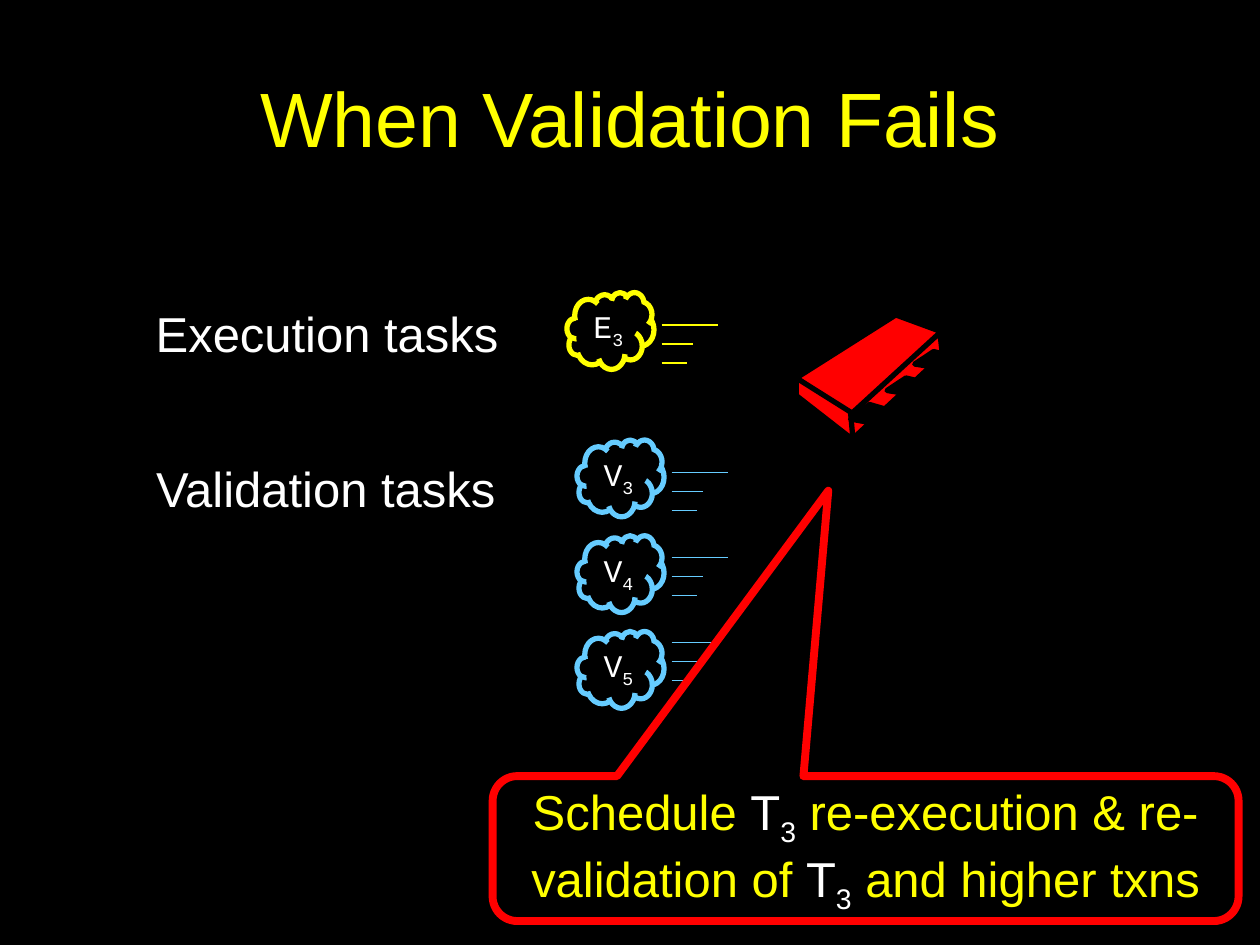
from lxml.etree import SubElement
from pptx import Presentation
from pptx.dml.color import RGBColor
from pptx.enum.shapes import MSO_CONNECTOR as Connector, MSO_SHAPE as Preset
from pptx.enum.text import MSO_ANCHOR as Anchor, PP_ALIGN as Align
from pptx.oxml.ns import qn
from pptx.util import Inches, Pt

COLORS = {
    "black": "000000",
    "white": "FFFFFF",
    "yellow": "FFFF00",
    "blue": "66CCFF",
    "red": "FF0000",
}
COLUMNS, ROWS = 100, 75
CELL = Inches(0.1)

REAR_PIN = [(2.2, 0.8), (0.8, 0), (0, 0.8), (0, 5), (0.8, 4.3), (0.8, 1.5), (2.2, 2.2)]
FRONT_PIN = [(1.5, 0), (0, 1), (2.5, 1.4), (2.5, 4.3), (3.5, 3.3), (3.5, 0.5)]
CHIP_FACES = [
    [(8.6, 0.2), (0.7, 5.2), (5.1, 8.2), (12.4, 1.6)],
    [(12.1, 1.6), (5, 8.1), (5.1, 10.1), (12.3, 3.4)],
    [(0.7, 5.2), (0.7, 6.6), (5.2, 10.1), (5, 7.9)],
]


def cells(*counts):
    return [round(count * CELL) for count in counts]


def color(name):
    return RGBColor.from_string(COLORS[name])


def style(shape, fill=None, line=None, width=3):
    shape.shadow.inherit = False
    if fill:
        shape.fill.solid()
        shape.fill.fore_color.rgb = color(fill)
    else:
        shape.fill.background()
    if line:
        shape.line.color.rgb = color(line)
        shape.line.width = Pt(width)
    else:
        shape.line.fill.background()


def write(shape, *parts, size=28, font="Arial", tint="white", align=Align.CENTER,
          anchor=Anchor.MIDDLE, wrap=True):
    frame = shape.text_frame
    frame.word_wrap = wrap
    frame.vertical_anchor = anchor
    paragraph = frame.paragraphs[0]
    paragraph.alignment = align
    for part in parts:
        text, part_tint, lowered = part if isinstance(part, tuple) else (part, tint, False)
        run = paragraph.add_run()
        run.text = text
        run.font.size = Pt(size)
        run.font.name = font
        run.font.color.rgb = color(part_tint)
        if lowered:
            run._r.get_or_add_rPr().set("baseline", "-25000")


def add_title(slide, box):
    write(slide.shapes.add_textbox(*cells(*box)), "When Validation Fails",
          size=44, tint="yellow")


def add_label(slide, box, text):
    label = slide.shapes.add_shape(Preset.RECTANGLE, *cells(*box))
    style(label, fill="black")
    write(label, text, anchor=Anchor.TOP, wrap=False)


def add_chip(slide, left, top):
    chip = slide.shapes.add_group_shape()

    def add_outline(points, fill, x=0, y=0, stretch=1):
        corners = [cells(left + x + across, top + y + down * stretch)
                   for across, down in points]
        builder = chip.shapes.build_freeform(*corners[0])
        builder.add_line_segments(corners[1:], close=True)
        style(builder.convert_to_shape(), fill=fill, line="black")

    for x, y in [(5.1, 0), (0, 3.8), (3.1, 1.6)]:
        add_outline(REAR_PIN, "black", x, y)
    for face in CHIP_FACES:
        add_outline(face, "red")
    for x, y, stretch in [(5, 7.3, 1.16), (7.9, 5.2, 1), (10.1, 3.1, 1)]:
        add_outline(FRONT_PIN, "black", x, y, stretch)


def add_task(slide, left, top, trail_top, letter, number, tint):
    cloud = slide.shapes.add_shape(Preset.CLOUD, *cells(left, top, 6.9, 6.1))
    style(cloud, line=tint)
    write(cloud, letter, (number, "white", True), size=18, font="Courier New",
          align=Align.RIGHT, wrap=False)
    start = left + 7.5
    for index, length in enumerate([4.5, 2.5, 2]):
        row = trail_top + 1.5 * index
        trail = slide.shapes.add_connector(
            Connector.STRAIGHT, *cells(start, row, start + length, row))
        trail.line.color.rgb = color(tint)
        trail.line.width = Pt(0.75)
        SubElement(trail._element.spPr, qn("a:effectLst"))


def add_callout(slide, box):
    callout = slide.shapes.add_shape(Preset.ROUNDED_RECTANGULAR_CALLOUT, *cells(*box))
    for index, value in enumerate([-0.05, -2.47, 0.17]):
        callout.adjustments[index] = value
    style(callout, fill="black", line="red", width=4.5)
    transaction = [("T", "white", False), ("3", "white", True)]
    write(callout, "Schedule ", *transaction, " re-execution & re-validation of ",
          *transaction, " and higher txns", tint="yellow")


def main():
    presentation = Presentation()
    presentation.slide_width, presentation.slide_height = cells(COLUMNS, ROWS)
    slide = presentation.slides.add_slide(presentation.slide_layouts[6])
    slide.background.fill.solid()
    slide.background.fill.fore_color.rgb = color("black")

    add_title(slide, (5, 3, 90, 12.5))
    add_chip(slide, 62.5, 24.8)
    add_label(slide, (11.2, 35.9, 29.3, 5.7), "Validation tasks")
    for index, number in enumerate("345"):
        add_task(slide, 45.8, 34.9 + 7.6 * index, 37.5 + 6.75 * index, "V", number, "blue")
    add_label(slide, (11.2, 23.6, 29.5, 5.7), "Execution tasks")
    add_task(slide, 45, 23.2, 25.8, "E", "3", "yellow")
    add_callout(slide, (39.1, 61.6, 59.2, 11.5))
    presentation.save("out.pptx")


if __name__ == "__main__":
    main()
